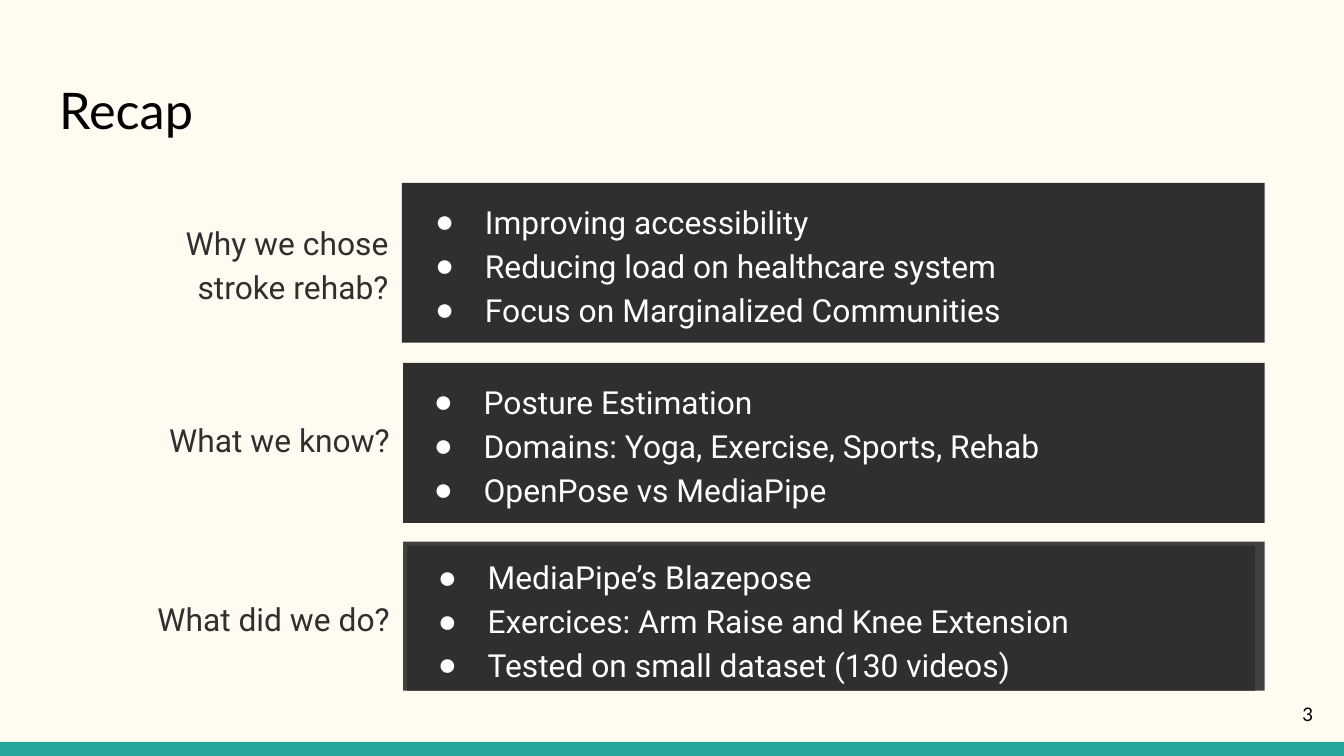
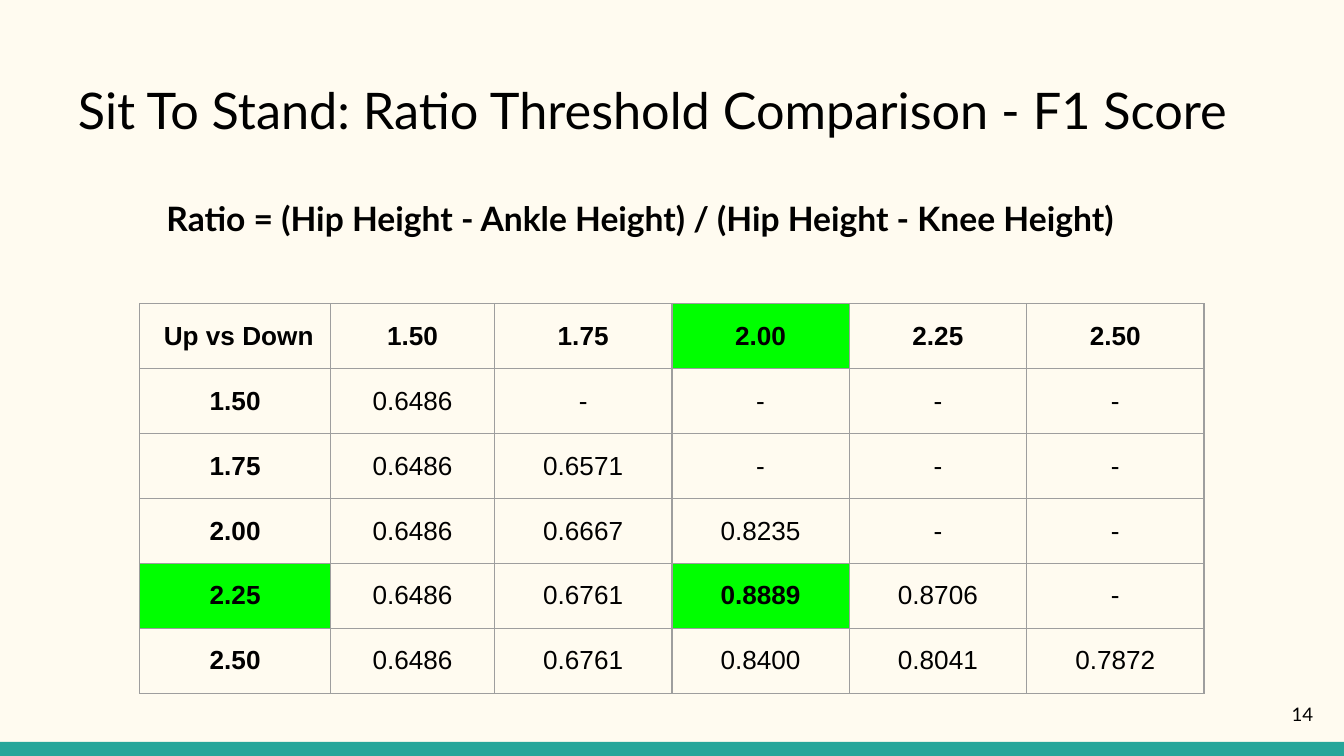
import pptx
import pptx.dml.color
import pptx.enum.shapes
import pptx.enum.text
import pptx.oxml
import pptx.oxml.ns
import pptx.util

Inches = pptx.util.Inches
Pt = pptx.util.Pt
ALIGN = pptx.enum.text.PP_ALIGN
ANCHOR = pptx.enum.text.MSO_ANCHOR

# Shared look
CREAM, TEAL, GREEN = "FFFBF0", "26A69A", "00FF00"
DARK, EDGE, GRID = "2F2F2F", "414141", "9E9E9E"
BLACK, WHITE = "000000", "FFFFFF"

TITLE = {"name": "Lato", "size": Pt(27), "bold": False}
FORMULA = {"name": "Lato", "size": Pt(18), "bold": True}
NUMBER = {"name": "Lato", "size": Pt(10)}
RECAP = {"name": "Roboto", "size": Pt(17)}
CELL = {"name": "Arial", "size": Pt(14)}

# Recap content: label, its line spacing, points
TOPICS = [
    ("Why we chose stroke rehab?", 1.15,
     ["Improving accessibility", "Reducing load on healthcare system",
      "Focus on Marginalized Communities"]),
    ("What we know?", 0.9,
     ["Posture Estimation", "Domains: Yoga, Exercise, Sports, Rehab",
      "OpenPose vs MediaPipe"]),
    ("What did we do?", 1.15,
     ["MediaPipe’s Blazepose", "Exercices: Arm Raise and Knee Extension",
      "Tested on small dataset (130 videos)"]),
]

# F1 scores: a row per lower threshold, blank above the diagonal
THRESHOLDS = ["1.50", "1.75", "2.00", "2.25", "2.50"]
SCORES = [
    ["0.6486"],
    ["0.6486", "0.6571"],
    ["0.6486", "0.6667", "0.8235"],
    ["0.6486", "0.6761", "0.8889", "0.8706"],
    ["0.6486", "0.6761", "0.8400", "0.8041", "0.7872"],
]
BEST_ROW, BEST_COL = 4, 3


def rgb(value):
    return pptx.dml.color.RGBColor.from_string(value)


def apply(target, values):
    for name, value in values.items():
        setattr(target, name, value)


def child(parent, tag, **attributes):
    node = parent.makeelement(pptx.oxml.ns.qn(tag), attributes)
    parent.append(node)
    return node


def add_bullet(p):
    pPr = p._p.get_or_add_pPr()
    pPr.set("marL", str(Inches(0.5)))
    pPr.set("indent", str(Inches(-0.37)))
    child(child(pPr, "a:buClr"), "a:srgbClr", val=WHITE)
    child(pPr, "a:buFont", typeface="Arial")
    child(pPr, "a:buChar", char="●")


def write(tf, lines, font, color, align=ALIGN.LEFT, spacing=1.0,
          anchor=ANCHOR.TOP, inset=0.1, bullets=False):
    apply(tf, {"word_wrap": True, "vertical_anchor": anchor,
               "auto_size": pptx.enum.text.MSO_AUTO_SIZE.NONE,
               "margin_left": Inches(0.1), "margin_right": Inches(0.1),
               "margin_top": Inches(inset), "margin_bottom": Inches(inset)})
    for i, line in enumerate(lines):
        p = tf.add_paragraph() if i else tf.paragraphs[0]
        if bullets:
            add_bullet(p)
        apply(p, {"alignment": align, "line_spacing": spacing,
                  "space_before": Pt(0)})
        r = p.add_run()
        r.text = line
        apply(r.font, font)
        r.font.color.rgb = rgb(color)


def add_rect(s, box, color):
    sp = s.shapes.add_shape(pptx.enum.shapes.MSO_SHAPE.RECTANGLE,
                            *map(Inches, box))
    sp.shadow.inherit = False
    sp.fill.solid()
    sp.fill.fore_color.rgb = rgb(color)
    sp.line.fill.background()
    return sp


def add_text(s, box, lines, font, color, **layout):
    sp = s.shapes.add_textbox(*map(Inches, box))
    write(sp.text_frame, lines, font, color, **layout)


def add_slide(prs, title, title_left, number):
    s = prs.slides.add_slide(prs.slide_layouts[5])
    add_rect(s, (0, 5.52, 10, 0.11), TEAL)
    # Title is centred on the slide, so its width follows from its left edge
    sp = s.shapes.title
    apply(sp, {"left": Inches(title_left), "top": Inches(0.49),
               "width": Inches(10 - 2 * title_left), "height": Inches(0.67)})
    write(sp.text_frame, [title], TITLE, BLACK)
    add_text(s, (9.27, 5.1, 0.6, 0.43), [str(number)], NUMBER, BLACK,
             align=ALIGN.RIGHT, anchor=ANCHOR.MIDDLE)
    return s


def add_label(s, box, text, spacing):
    add_text(s, box, [text], RECAP, DARK, align=ALIGN.RIGHT, spacing=spacing,
             anchor=ANCHOR.MIDDLE, inset=0.05)


def fill_list(sp, points):
    write(sp.text_frame, points, RECAP, WHITE, spacing=1.15,
          anchor=ANCHOR.MIDDLE, inset=0.05, bullets=True)


def add_borders(cell):
    tcPr = cell._tc.get_or_add_tcPr()
    for side in ("a:lnL", "a:lnR", "a:lnT", "a:lnB"):
        ln = child(tcPr, side, w=str(Pt(0.75)))
        child(child(ln, "a:solidFill"), "a:srgbClr", val=GRID)


def add_score_table(s, rows):
    widths = [1.42, 1.22] + [1.32] * 4
    total_height = 2.9
    frame = s.shapes.add_table(len(rows), len(widths), Inches(1.04),
                               Inches(2.26), Inches(sum(widths)),
                               Inches(total_height))
    table = frame.table
    apply(table, {"first_row": False, "horz_banding": False})
    for column, width in zip(table.columns, widths):
        column.width = Inches(width)
    best = {(0, BEST_COL), (BEST_ROW, 0), (BEST_ROW, BEST_COL)}
    for i, row in enumerate(rows):
        table.rows[i].height = Inches(total_height / len(rows))
        for j, text in enumerate(row):
            cell = table.cell(i, j)
            marked = (i, j) in best
            bold = i == 0 or j == 0 or marked
            add_borders(cell)
            if marked:
                cell.fill.solid()
                cell.fill.fore_color.rgb = rgb(GREEN)
            else:
                cell.fill.background()
            apply(cell, {"vertical_anchor": ANCHOR.MIDDLE,
                         "margin_left": Inches(0.1),
                         "margin_right": Inches(0.1),
                         "margin_top": Inches(0.1),
                         "margin_bottom": Inches(0.1)})
            p = cell.text_frame.paragraphs[0]
            p.alignment = ALIGN.CENTER
            r = p.add_run()
            r.text = text
            apply(r.font, {**CELL, "bold": bold})
            r.font.color.rgb = rgb(BLACK)


def build_recap(prs):
    s = add_slide(prs, "Recap", 0.34, 3)
    why, know, did = TOPICS

    # Why: the list floats over its panel
    add_label(s, (0.59, 1.44, 2.4, 1.02), *why[:2])
    add_rect(s, (2.99, 1.36, 6.42, 1.19), DARK)
    add_text(s, (3.01, 1.49, 6.26, 0.93), why[2], RECAP, WHITE, spacing=1.15,
             anchor=ANCHOR.MIDDLE, inset=0.05, bullets=True)

    # Know: the panel holds its list
    add_label(s, (0.59, 2.78, 2.41, 1.02), *know[:2])
    fill_list(add_rect(s, (3, 2.7, 6.41, 1.19), DARK), know[2])

    # Did: the panel lies on a lighter edge
    add_label(s, (0.59, 4.11, 2.41, 0.95), *did[:2])
    add_rect(s, (3, 4.03, 6.41, 1.11), EDGE)
    fill_list(add_rect(s, (3.03, 4.06, 6.31, 1.08), DARK), did[2])


def build_comparison(prs):
    s = add_slide(prs, "Sit To Stand: Ratio Threshold Comparison - F1 Score",
                  0.48, 14)
    rows = [[" Up vs Down"] + THRESHOLDS]
    for threshold, scores in zip(THRESHOLDS, SCORES):
        blanks = ["-"] * (len(THRESHOLDS) - len(scores))
        rows.append([threshold] + scores + blanks)
    add_score_table(s, rows)
    add_text(s, (1.14, 1.37, 7.72, 0.5),
             ["Ratio = (Hip Height - Ankle Height) / (Hip Height - Knee Height)"],
             FORMULA, BLACK)


def main():
    prs = pptx.Presentation()
    # Widescreen, 16 to 9
    apply(prs, {"slide_width": Inches(10), "slide_height": Inches(10 * 9 / 16)})
    fill = prs.slide_master.background.fill
    fill.solid()
    fill.fore_color.rgb = rgb(CREAM)
    build_recap(prs)
    build_comparison(prs)
    prs.save("out.pptx")


if __name__ == "__main__":
    main()
